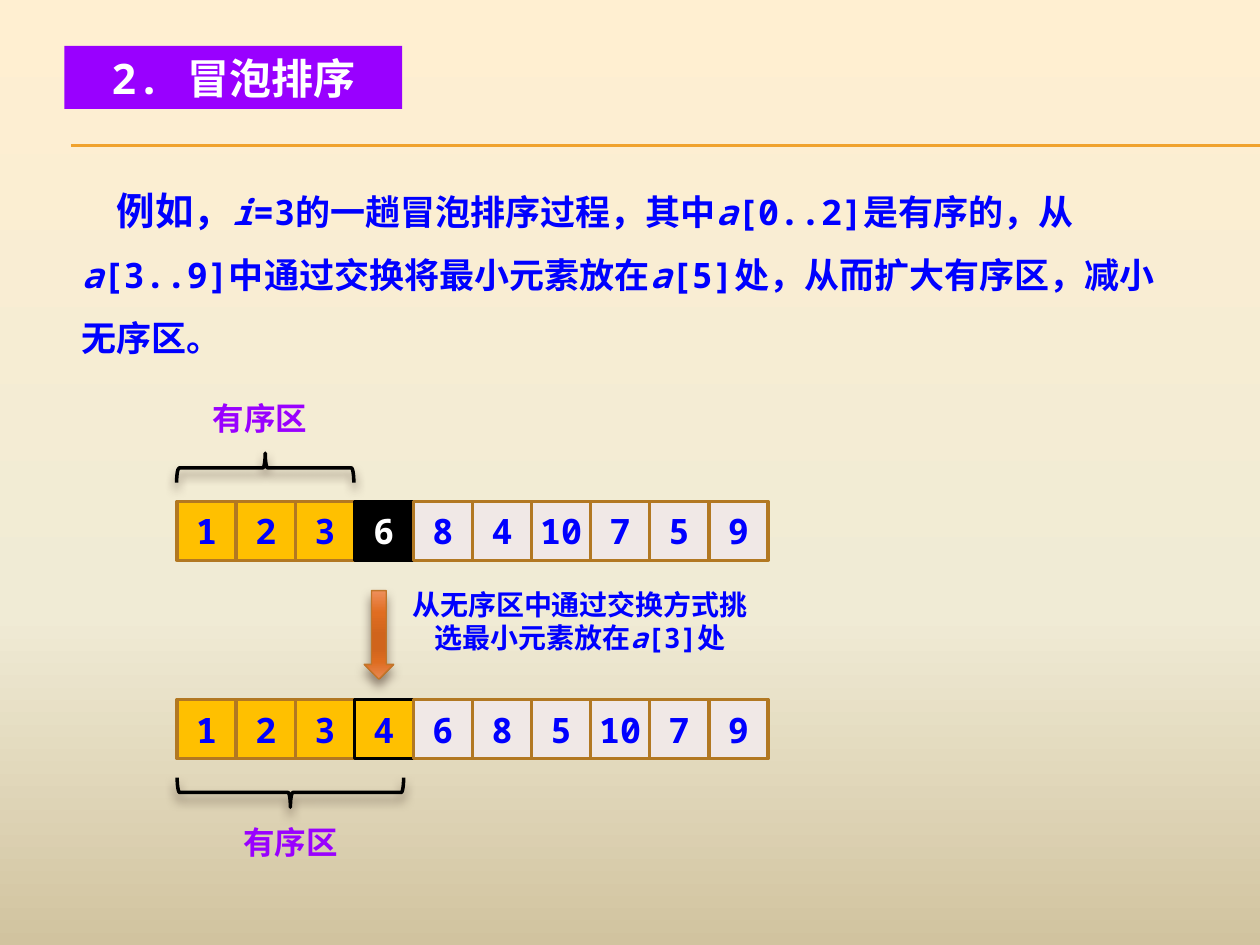
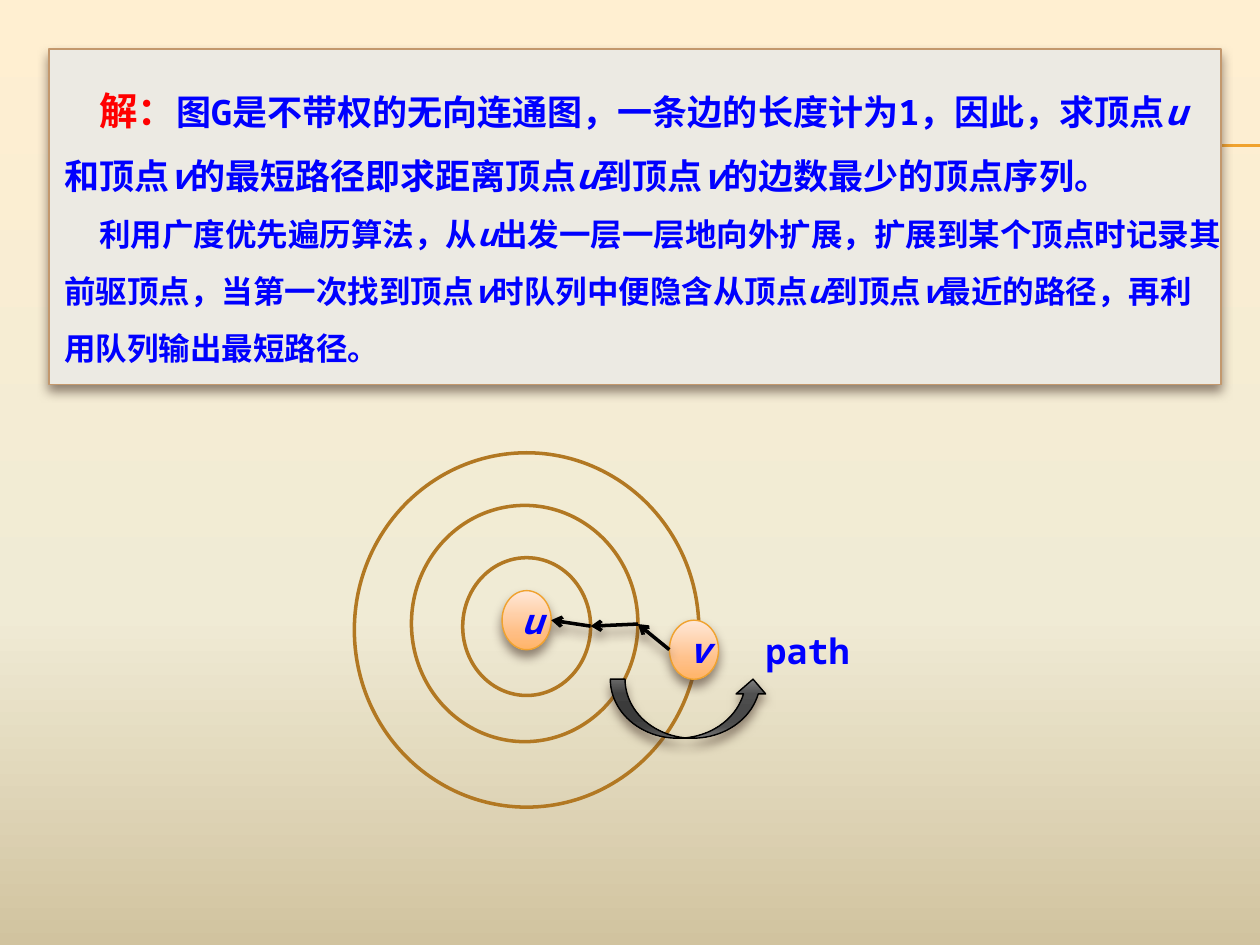
from itertools import pairwise

from lxml.etree import SubElement
from pptx import Presentation
from pptx.dml.color import RGBColor
from pptx.enum.shapes import MSO_CONNECTOR, MSO_SHAPE
from pptx.enum.text import MSO_ANCHOR, MSO_AUTO_SIZE, PP_ALIGN
from pptx.oxml.ns import qn
from pptx.util import Pt

# Shared look
MONO, SANS = "Noto Sans Mono", "Noto Sans CJK SC"
BLUE, PURPLE, RED, BLACK, WHITE = "0000FF", "9900FF", "FF0000", "000000", "FFFFFF"
BROWN, AMBER, GOLD, PALE, PANEL = "B27822", "F0A22E", "FFC000", "F0E8E6", "ECEAE3"
SHADOW = "4E3B30"
BACKGROUND = [(0, "FFEFD1"), (65, "F0EBD5"), (100, "D1C39F")]
PEACH = [(0, "FFE7D7"), (72, "FFBE84"), (100, "FFB468")]
ORANGE = [(0, "EE8F5B"), (25, "E06D21"), (50, "D0641C"),
          (65, "D0641C"), (80, "DE6C20"), (100, "E88852")]
GREY = [(0, "828282"), (25, "505050"), (50, "4A4A4A"),
        (65, "4A4A4A"), (80, "505050"), (100, "7A7A7A")]
RULE_TOPS = [82.8, 83.4]
FIRST_INDENT = 20

# Bubble sort content; *stars* mark italics, a span is (text, size, format)
SORT_TITLE = "2. 冒泡排序"
SORT_TEXT = [[
    ("例如，", 22),
    ("*i*=3的一趟冒泡排序过程，其中*a*[0..2]是有序的，从*a*[3..9]中通过交换将最小元素"
     "放在*a*[5]处，从而扩大有序区，减小无序区。", 20),
]]
STEP_NOTE = [[("从无序区中通过交换方式挑选最小元素放在*a*[3]处", 16)]]
SORTED_LABEL = [[("有序区", 18, {"color": PURPLE})]]
CELL, ARRAY_LEFT, SORTED_COUNT = 33.75, 101.25, 3
ARRAYS = [  # top, values, fill, and text colour of the cell after the sorted part
    (286.5, [1, 2, 3, 6, 8, 4, 10, 7, 5, 9], BLACK, WHITE),
    (399.75, [1, 2, 3, 4, 6, 8, 5, 10, 7, 9], GOLD, BLUE),
]
BRACES = [  # frame before turning, rotation, label frame
    ((143.1, 216.75, 16.88, 101.25), 90, (106.5, 224.6, 84.4, 28.8)),
    ((157.5, 388.1, 16.88, 129.4), 270, (123.8, 466.6, 84.4, 28.8)),
]

# Shortest path content
PATH_TEXT = [
    [("解：", 22, {"color": RED, "font": SANS}),
     ("图G是不带权的无向连通图，一条边的长度计为1，因此，求顶点*u*和顶点*v*的最短路径"
      "即求距离顶点*u*到顶点*v*的边数最少的顶点序列。", 20)],
    [("利用广度优先遍历算法，从*u*出发一层一层地向外扩展，扩展到某个顶点时记录其前驱顶点，"
      "当第一次找到顶点*v*时队列中便隐含从顶点*u*到顶点*v*最近的路径，再利用队列输出最短路径。", 18)],
]
RINGS = [(264.4, 318.7, 73.1, 78.75), (235.1, 288.8, 129.4, 135), (202.5, 258.75, 196.9, 202.5)]
VERTICES = [("u", 286.9, 337.5), ("v", 382.5, 354.4)]
VERTEX_SIZE = (28.1, 33.75)
TRAIL = [(382.5, 371.25), (364.5, 356.6), (337.5, 357.8), (315, 354.4)]


def colour(value):
    return RGBColor.from_string(value)


def set_gradient(fill, element, stops):
    """Fill from top to bottom with (percent, colour) stops."""
    fill.gradient()
    fill.gradient_angle = 270
    stop_list = element.find(".//" + qn("a:gsLst"))
    for stop in list(stop_list):
        stop_list.remove(stop)
    for percent, value in stops:
        stop = SubElement(stop_list, qn("a:gs"), pos=str(percent * 1000))
        SubElement(stop, qn("a:srgbClr"), val=value)


def paint(shape, fill=None, line=None, width=2):
    if isinstance(fill, list):
        set_gradient(shape.fill, shape._element, fill)
    elif fill:
        shape.fill.solid()
        shape.fill.fore_color.rgb = colour(fill)
    else:
        shape.fill.background()
    if line:
        shape.line.color.rgb = colour(line)
        shape.line.width = Pt(width)
    else:
        shape.line.fill.background()


def cast_shadow(effects):
    shadow = SubElement(effects, qn("a:outerShdw"), blurRad=str(Pt(6)), dist=str(Pt(4)),
                        dir="5400000", rotWithShape="0")
    tint = SubElement(shadow, qn("a:srgbClr"), val=SHADOW)
    SubElement(tint, qn("a:alpha"), val="60000")


def add_span(para, text, size, color=BLUE, font=MONO, italic=False):
    span = para.add_run()
    span.text = text
    for name, value in dict(name=font, size=Pt(size), bold=True, italic=italic).items():
        setattr(span.font, name, value)
    span.font.color.rgb = colour(color)
    SubElement(span.font._element, qn("a:ea"), typeface=MONO)


def write(shape, paragraphs, align=PP_ALIGN.CENTER, anchor=MSO_ANCHOR.TOP,
          margins=(7.2, 3.6, 7.2, 3.6), spacing=None, indent=0):
    frame = shape.text_frame
    sides = dict(zip(("margin_left", "margin_top", "margin_right", "margin_bottom"),
                     map(Pt, margins)))
    settings = dict(sides, word_wrap=True, vertical_anchor=anchor, auto_size=MSO_AUTO_SIZE.NONE)
    for name, value in settings.items():
        setattr(frame, name, value)
    for index, spans in enumerate(paragraphs):
        para = frame.add_paragraph() if index else frame.paragraphs[0]
        para.alignment = align
        if spacing:
            para.line_spacing = spacing
        if indent:
            para._p.get_or_add_pPr().set("indent", str(Pt(indent)))
        for text, size, *formats in spans:
            look = formats[0] if formats else {}
            for part, piece in enumerate(text.split("*")):
                if piece:
                    add_span(para, piece, size, italic=part % 2 == 1, **look)


def add_shape(page, kind, frame, fill=None, line=None, width=2, shadow=False):
    shape = page.shapes.add_shape(kind, *map(Pt, frame))
    paint(shape, fill, line, width)
    shape.shadow.inherit = False
    if shadow:
        cast_shadow(shape._element.spPr.find(qn("a:effectLst")))
    return shape


def add_text(page, frame, paragraphs, **layout):
    box = page.shapes.add_textbox(*map(Pt, frame))
    write(box, paragraphs, **layout)


def add_line(page, start, end, color, width, arrow=False):
    line = page.shapes.add_connector(MSO_CONNECTOR.STRAIGHT, *map(Pt, (*start, *end)))
    line.line.color.rgb = colour(color)
    line.line.width = Pt(width)
    effects = SubElement(line._element.spPr, qn("a:effectLst"))
    if arrow:
        SubElement(line._element.spPr.find(qn("a:ln")), qn("a:tailEnd"), type="arrow")
        cast_shadow(effects)


def add_page(deck, layout):
    page = deck.slides.add_slide(deck.slide_layouts[layout])
    for top in RULE_TOPS:
        add_line(page, (40.5, top), (720, top), AMBER, 0.75)
    return page


def add_array(page, top, values, next_fill, next_color):
    for index, value in enumerate(values):
        fill, line, color = (GOLD if index < SORTED_COUNT else PALE), BROWN, BLUE
        if index == SORTED_COUNT:
            fill, line, color = next_fill, BLACK, next_color
        cell = add_shape(page, MSO_SHAPE.RECTANGLE,
                         (ARRAY_LEFT + index * CELL, top, CELL, CELL), fill, line)
        write(cell, [[(str(value), 20, {"color": color})]],
              anchor=MSO_ANCHOR.MIDDLE, margins=(0, 3.6, 0, 3.6))


def build_sort_page(deck):
    page = add_page(deck, 5)
    title = page.shapes.title
    title.left, title.top, title.width, title.height = map(Pt, (36.8, 26.2, 193, 36))
    paint(title, PURPLE)
    write(title, [[(SORT_TITLE, 24, {"color": WHITE})]], anchor=MSO_ANCHOR.MIDDLE)
    add_text(page, (39.6, 90, 646.6, 115.9), SORT_TEXT,
             align=PP_ALIGN.LEFT, spacing=1.5, indent=FIRST_INDENT)

    # Arrays before and after the pass
    for array in ARRAYS:
        add_array(page, *array)
    for frame, rotation, label_frame in BRACES:
        brace = add_shape(page, MSO_SHAPE.LEFT_BRACE, frame, line=BLACK, shadow=True)
        brace.rotation = rotation
        add_text(page, label_frame, SORTED_LABEL)

    # Step between the arrays
    add_text(page, (224.6, 331.9, 213.8, 46), STEP_NOTE)
    add_shape(page, MSO_SHAPE.DOWN_ARROW, (208.1, 337.5, 16.88, 50.6),
              ORANGE, "C17529", 0.79, shadow=True)


def build_path_page(deck):
    page = add_page(deck, 6)
    panel = add_shape(page, MSO_SHAPE.RECTANGLE, (28.1, 28.1, 669.6, 191.5),
                      PANEL, "C3986D", 0.79, shadow=True)
    write(panel, PATH_TEXT, align=PP_ALIGN.LEFT, margins=(8.64, 8.64, 0, 8.64),
          spacing=1.5, indent=FIRST_INDENT)

    # Search layers around u
    for frame in RINGS:
        add_shape(page, MSO_SHAPE.OVAL, frame, line=BROWN)
    for name, left, top in VERTICES:
        vertex = add_shape(page, MSO_SHAPE.OVAL, (left, top, *VERTEX_SIZE),
                           PEACH, AMBER, 0.79, shadow=True)
        write(vertex, [[(f"*{name}*", 20)]], anchor=MSO_ANCHOR.MIDDLE)

    # Way back from v to u
    for start, end in pairwise(TRAIL):
        add_line(page, start, end, BLACK, 2, arrow=True)
    add_shape(page, MSO_SHAPE.CURVED_UP_ARROW, (348.75, 388.1, 90, 33.75),
              GREY, BLACK, 0.79, shadow=True)
    add_text(page, (433.4, 360, 56.2, 24.5), [[("path", 20)]], margins=(0, 0, 0, 0))


def main():
    deck = Presentation()
    deck.slide_width, deck.slide_height = Pt(720), Pt(540)
    master = deck.slide_master
    set_gradient(master.background.fill, master.element, BACKGROUND)
    build_sort_page(deck)
    build_path_page(deck)
    deck.save("out.pptx")


if __name__ == "__main__":
    main()
